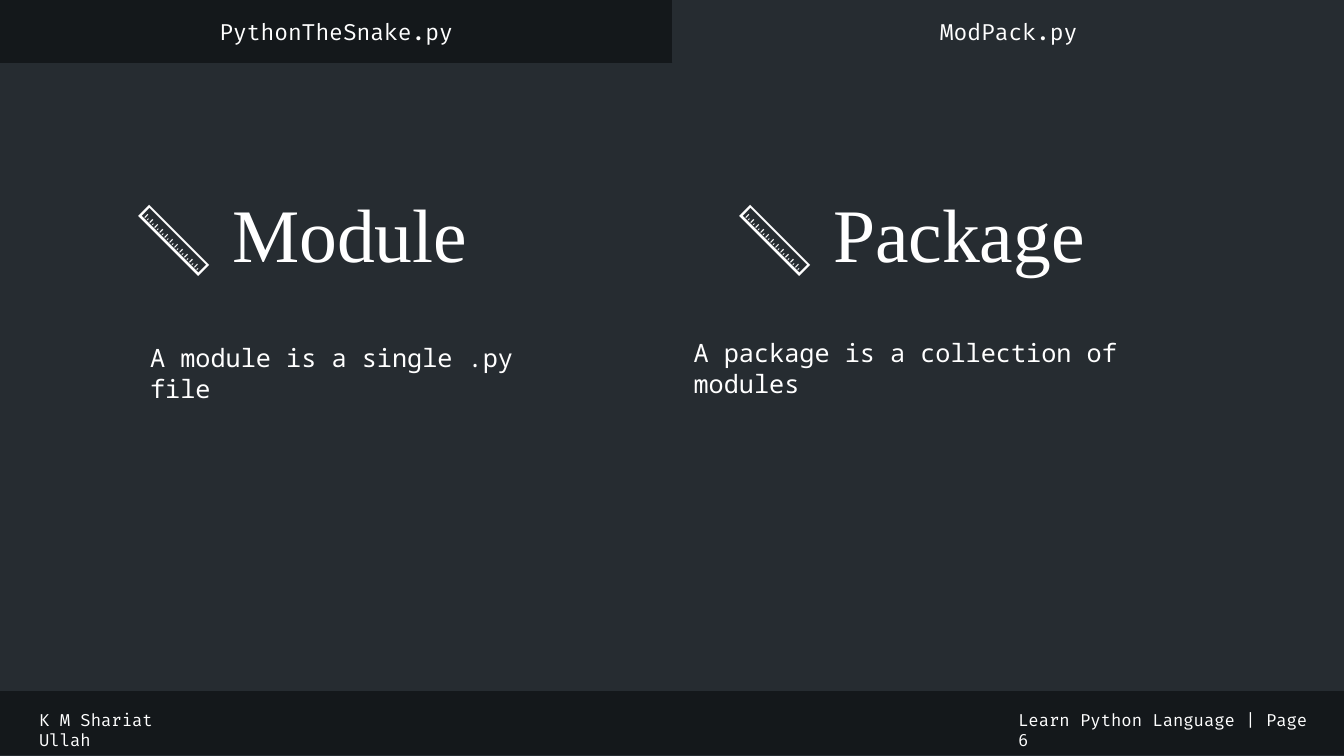
import pptx
import pptx.dml.color
import pptx.enum.shapes
import pptx.enum.text
import pptx.util
from pptx.util import Inches

COLORS = {"background": "282B33", "panel": "262C31", "bar": "14181B", "text": "FFFFFF"}
CODE_FONT = "Fira Code"
HEADING_FONT = "Times New Roman"
BODY_FONT = "Noto Sans Mono"


def rgb(name):
    return pptx.dml.color.RGBColor.from_string(COLORS[name])


def add_run(paragraph, text, size, font):
    run = paragraph.add_run()
    run.text = text
    run.font.size = pptx.util.Pt(size)
    run.font.name = font
    run.font.color.rgb = rgb("text")


presentation = pptx.Presentation()
presentation.slide_width = Inches(13.33)
presentation.slide_height = Inches(7.5)
slide = presentation.slides.add_slide(presentation.slide_layouts[6])
slide.background.fill.solid()
slide.background.fill.fore_color.rgb = rgb("background")

# Panel, footer bar and the two file tabs
blocks = [
    (0, -0.02, 13.33, 7.51, "panel", ""),
    (0, 6.86, 13.33, 0.62, "bar", ""),
    (0, 0, 6.67, 0.62, "bar", "PythonTheSnake.py"),
    (6.67, 0, 6.67, 0.62, "panel", "ModPack.py"),
]
for left, top, width, height, color, label in blocks:
    block = slide.shapes.add_shape(
        pptx.enum.shapes.MSO_SHAPE.RECTANGLE,
        Inches(left), Inches(top), Inches(width), Inches(height))
    block.shadow.inherit = False
    block.fill.solid()
    block.fill.fore_color.rgb = rgb(color)
    block.line.color.rgb = rgb(color)
    block.line.width = pptx.util.Pt(1)
    if label:
        block.text_frame.vertical_anchor = pptx.enum.text.MSO_ANCHOR.MIDDLE
        paragraph = block.text_frame.paragraphs[0]
        paragraph.alignment = pptx.enum.text.PP_ALIGN.CENTER
        add_run(paragraph, label, 16, CODE_FONT)

# Footer, headings and definitions
texts = [
    (0.29, 6.99, 1.93, 0.3, "K M Shariat Ullah", 12, CODE_FONT),
    (10, 6.99, 3.25, 0.3, "Learn Python Language | Page 6", 12, CODE_FONT),
    (1.25, 1.8, 3.79, 1.01, "📏 Module", 54, HEADING_FONT),
    (7.21, 1.8, 3.96, 1.01, "📏 Package", 54, HEADING_FONT),
    (1.39, 3.35, 4.22, 0.4, "A module is a single .py file", 18, BODY_FONT),
    (6.78, 3.3, 5.19, 0.4, "A package is a collection of modules", 18, BODY_FONT),
]
for left, top, width, height, text, size, font in texts:
    box = slide.shapes.add_textbox(Inches(left), Inches(top), Inches(width), Inches(height))
    box.text_frame.word_wrap = True
    add_run(box.text_frame.paragraphs[0], text, size, font)

presentation.save("out.pptx")
